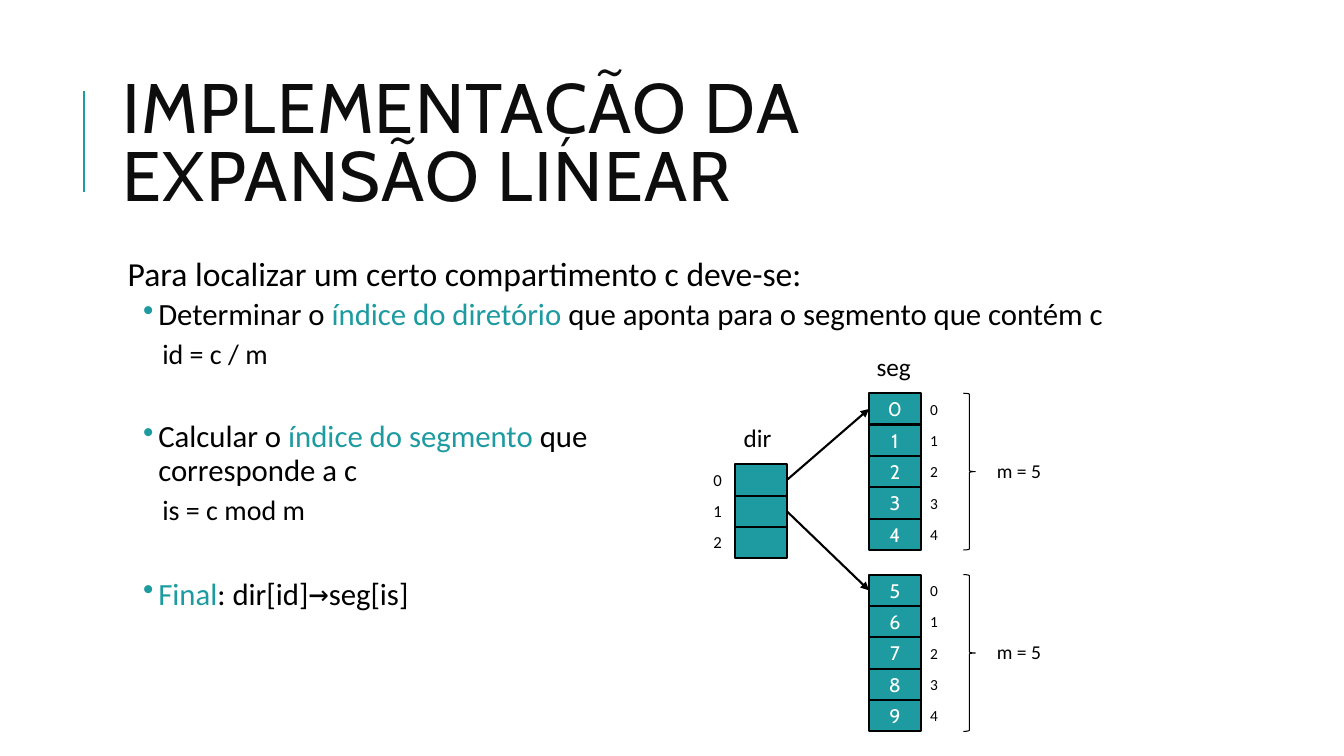
from lxml import etree
from pptx import Presentation
from pptx.dml.color import RGBColor
from pptx.enum.shapes import MSO_CONNECTOR, MSO_SHAPE
from pptx.enum.text import MSO_ANCHOR, MSO_AUTO_SIZE, PP_ALIGN
from pptx.oxml.ns import qn
from pptx.util import Cm, Pt

TEAL = RGBColor(0x1D, 0x9B, 0xA1)
BLACK = RGBColor(0, 0, 0)
NEAR_BLACK = RGBColor(0x0D, 0x0D, 0x0D)
WHITE = RGBColor(0xFF, 0xFF, 0xFF)
RECTANGLE = MSO_SHAPE.RECTANGLE
BRACE = MSO_SHAPE.RIGHT_BRACE
STRAIGHT = MSO_CONNECTOR.STRAIGHT
MIDDLE = MSO_ANCHOR.MIDDLE
CENTER = PP_ALIGN.CENTER
GROW = MSO_AUTO_SIZE.SHAPE_TO_FIT_TEXT
LEFT_SIDE, RIGHT_SIDE = 1, 3

deck = Presentation()
deck.slide_width, deck.slide_height = Cm(33.87), Cm(19.05)
page = deck.slides.add_slide(deck.slide_layouts[6])


def add_span(para, text, size, color=BLACK, name="Calibri"):
    span = para.add_run()
    span.text = text
    span.font.color.rgb = color
    for key, value in {"size": Pt(size), "name": name}.items():
        setattr(span.font, key, value)
    return span


def add_label(text, size, left, top, width, height, wrap=False):
    box = page.shapes.add_textbox(Cm(left), Cm(top), Cm(width), Cm(height))
    for key, value in {"word_wrap": wrap, "auto_size": GROW}.items():
        setattr(box.text_frame, key, value)
    add_span(box.text_frame.paragraphs[0], text, size)


# Title with its accent line
accent = page.shapes.add_connector(STRAIGHT, Cm(2.11), Cm(4.83), Cm(2.11), Cm(2.29))
accent.line.color.rgb = TEAL
accent.line.width = Pt(1.5)
etree.SubElement(accent._element.spPr, qn("a:effectLst"))

title = page.shapes.add_textbox(Cm(2.84), Cm(1.63), Cm(27), Cm(4.17))
for key, value in {"word_wrap": True, "vertical_anchor": MIDDLE}.items():
    setattr(title.text_frame, key, value)
para = title.text_frame.paragraphs[0]
para.line_spacing = 0.8
for number, line in enumerate(["IMPLEMENTAÇÃO DA", "EXPANSÃO LINEAR"]):
    if number:
        para.add_line_break()
    span = add_span(para, line, 50, NEAR_BLACK, "Cabin")
    span.font._element.set("spc", "100")

# Body: (margin, hanging indent, space before, space after, bullet, spans)
HEADING = {"margin": 0.25, "indent": 0, "before": 12, "after": 2, "bullet": False}
STEP = {"margin": 1.02, "indent": -0.38, "before": 2, "after": 4, "bullet": True}
SPACED_STEP = {**STEP, "before": 32}
FORMULA = {"margin": 1.12, "indent": 0, "before": 2, "after": 4, "bullet": False}
BODY = [
    (HEADING, [("Para localizar um certo compartimento c deve-se:", 24)]),
    (STEP, [("Determinar o ", 22), ("índice do diretório ", 22, TEAL),
            ("que aponta para o segmento que contém c", 22)]),
    (FORMULA, [("id = c / m", 20)]),
    (SPACED_STEP, [("Calcular o ", 22), ("índice do segmento", 22, TEAL),
                   (" que ", 22), None, ("corresponde a c", 22)]),
    (FORMULA, [("is = c mod m", 20)]),
    (SPACED_STEP, [("Final", 22, TEAL), (": dir[id]", 22),
                   ("→", 24, BLACK, "DejaVu Sans Mono"), ("seg[is]", 22)]),
]
body = page.shapes.add_textbox(Cm(2.84), Cm(6.35), Cm(27), Cm(11.18))
frame = body.text_frame
frame.word_wrap = True
for side in ("left", "right", "top", "bottom"):
    setattr(frame, f"margin_{side}", Cm(0.13))
for number, (style, spans) in enumerate(BODY):
    para = frame.add_paragraph() if number else frame.paragraphs[0]
    spacing = {"line_spacing": 0.9, "space_before": Pt(style["before"]),
               "space_after": Pt(style["after"])}
    for key, value in spacing.items():
        setattr(para, key, value)
    properties = para._p.get_or_add_pPr()
    properties.set("marL", str(Cm(style["margin"])))
    properties.set("indent", str(Cm(style["indent"])))
    if style["bullet"]:
        bullet_color = etree.SubElement(properties, qn("a:buClr"))
        etree.SubElement(bullet_color, qn("a:srgbClr"), val=str(TEAL))
        etree.SubElement(properties, qn("a:buChar"), char="•")
    for part in spans:
        if part is None:
            para.add_line_break()
        else:
            add_span(para, *part)

# Diagram: one directory column and two segment columns
CELL_WIDTH, CELL_HEIGHT = 1.31, 0.79
DIRECTORY_LEFT, DIRECTORY_TOP = 18.52, 11.7
SEGMENT_LEFT, SEGMENT_TOPS = 21.9, (9.91, 14.48)
SEGMENT_SIZE = 5

columns = [(DIRECTORY_LEFT, DIRECTORY_TOP, [""] * 3)]
for number, top in enumerate(SEGMENT_TOPS):
    first = number * SEGMENT_SIZE
    columns.append((SEGMENT_LEFT, top, range(first, first + SEGMENT_SIZE)))

cells = []
for left, top, values in columns:
    column = []
    for row, value in enumerate(values):
        cell = page.shapes.add_shape(RECTANGLE, Cm(left), Cm(top + row * CELL_HEIGHT),
                                     Cm(CELL_WIDTH), Cm(CELL_HEIGHT))
        cell.shadow.inherit = False
        cell.fill.solid()
        cell.fill.fore_color.rgb = TEAL
        cell.line.color.rgb = BLACK
        cell.line.width = Pt(1.5)
        if value != "":
            cell.text_frame.vertical_anchor = MIDDLE
            para = cell.text_frame.paragraphs[0]
            para.alignment = CENTER
            add_span(para, str(value), 14, WHITE, "Cabin")
        column.append(cell)
    cells.append(column)
directory, *segments = cells

for entry, segment in zip(directory, segments):
    arrow = page.shapes.add_connector(STRAIGHT, 0, 0, 0, 0)
    arrow.begin_connect(entry, RIGHT_SIDE)
    arrow.end_connect(segment[0], LEFT_SIDE)
    arrow.line.color.rgb = BLACK
    arrow.line.width = Pt(1.5)
    etree.SubElement(arrow.line._get_or_add_ln(), qn("a:tailEnd"), type="triangle")
    etree.SubElement(arrow._element.spPr, qn("a:effectLst"))

add_label("dir", 18, 18.49, 10.52, 1.22, 1.02)
add_label("seg", 18, 21.84, 8.74, 1.42, 1.02)
for row in range(len(directory)):
    add_label(str(row), 12, 17.73, DIRECTORY_TOP + row * CELL_HEIGHT, 0.74, 0.76)

for top in SEGMENT_TOPS:
    for row in range(SEGMENT_SIZE):
        add_label(str(row), 11, 23.19, top + 0.04 + row * CELL_HEIGHT, 0.71, 0.74)
    brace = page.shapes.add_shape(BRACE, Cm(24.28), Cm(top), Cm(0.3),
                                  Cm(SEGMENT_SIZE * CELL_HEIGHT))
    brace.shadow.inherit = False
    brace.fill.background()
    brace.line.color.rgb = BLACK
    brace.line.width = Pt(0.75)
    add_label("m = 5", 14, 24.87, top + 1.52, 2.39, 0.86, wrap=True)

deck.save("out.pptx")
